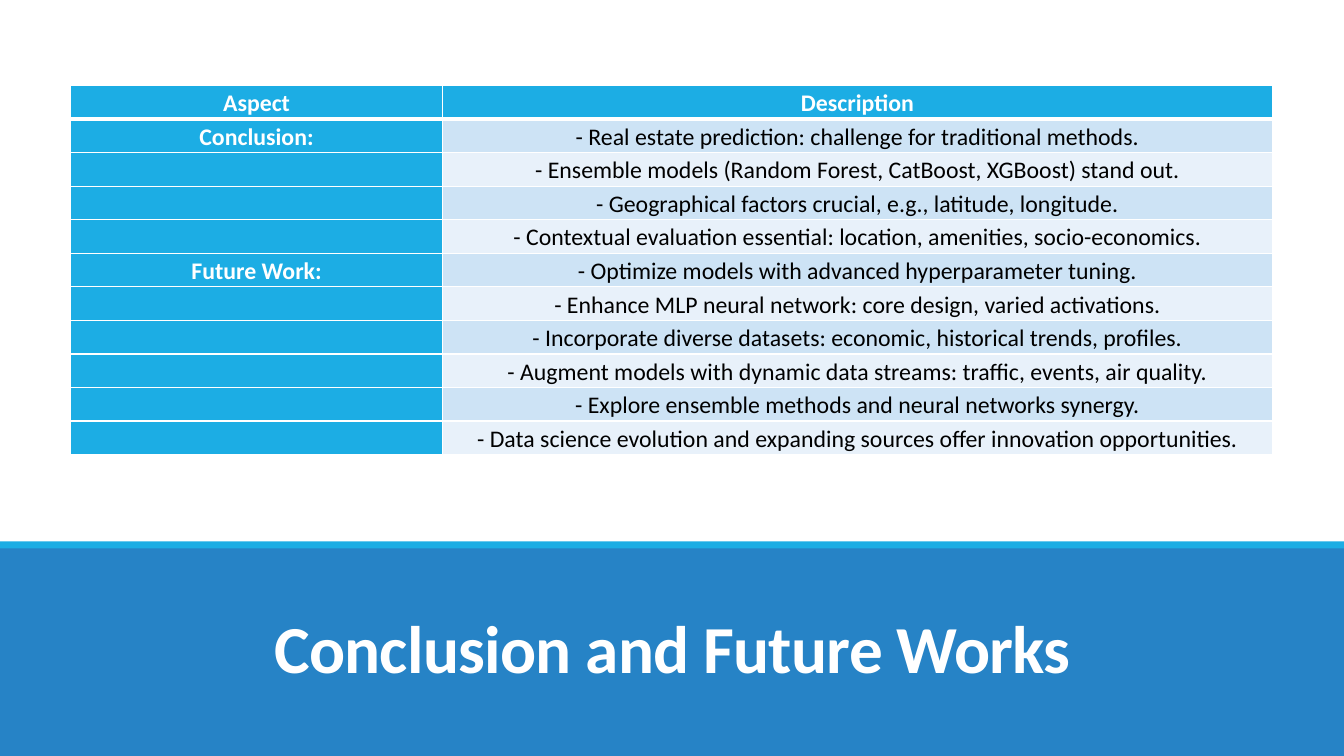
from lxml.etree import SubElement
from pptx import Presentation
from pptx.dml.color import RGBColor
from pptx.enum.shapes import MSO_SHAPE
from pptx.enum.text import MSO_ANCHOR, PP_ALIGN
from pptx.oxml.ns import qn
from pptx.util import Inches, Pt

TITLE = "Conclusion and Future Works"
HEAD = ("Aspect", "Description")
GROUPS = {
    "Conclusion:": [
        "- Real estate prediction: challenge for traditional methods.",
        "- Ensemble models (Random Forest, CatBoost, XGBoost) stand out.",
        "- Geographical factors crucial, e.g., latitude, longitude.",
        "- Contextual evaluation essential: location, amenities, socio-economics.",
    ],
    "Future Work:": [
        "- Optimize models with advanced hyperparameter tuning.",
        "- Enhance MLP neural network: core design, varied activations.",
        "- Incorporate diverse datasets: economic, historical trends, profiles.",
        "- Augment models with dynamic data streams: traffic, events, air quality.",
        "- Explore ensemble methods and neural networks synergy.",
        "- Data science evolution and expanding sources offer innovation opportunities.",
    ],
}
COLORS = {"band": "2683C6", "accent": "1CADE4", "odd": "CDE3F5",
          "even": "E8F1FA", "white": "FFFFFF", "black": "000000"}
FONT = "Calibri"
WIDTH, HEIGHT = 13.33, 7.5
BAND_TOP, STRIPE_TOP, STRIPE = 5.42, 5.37, 0.07
LEFT, TOP = 0.7, 0.85
COLS, ROW = (3.69, 8.23), 0.333
INSET = 0.01


def color(name):
    return RGBColor.from_string(COLORS[name])


def write(frame, text, size=17, ink="white", bold=True, space=None, lines=None):
    para = frame.paragraphs[0]
    para.alignment = PP_ALIGN.CENTER
    para.line_spacing = lines
    para.font.size = Pt(size)
    if not text:
        return
    run = para.add_run()
    run.text = text
    font = run.font
    font.name, font.size, font.bold = FONT, Pt(size), bold
    font.color.rgb = color(ink)
    if space is not None:
        run._r.get_or_add_rPr().set("spc", str(int(space * 100)))


def bar(slide, top, height, fill):
    shape = slide.shapes.add_shape(MSO_SHAPE.RECTANGLE, 0, Inches(top),
                                   Inches(WIDTH), Inches(height))
    shape.shadow.inherit = False
    shape.fill.solid()
    shape.fill.fore_color.rgb = color(fill)
    shape.line.fill.background()


def border(cell, widths):
    """Draw white cell edges; widths run left, right, top, bottom in points."""
    props = cell._tc.get_or_add_tcPr()
    for side, width in zip("LRTB", widths):
        line = SubElement(props, qn(f"a:ln{side}"), w=str(Pt(width)))
        fill = SubElement(line, qn("a:solidFill"))
        SubElement(fill, qn("a:srgbClr"), val=COLORS["white"])


def add_grid(slide):
    rows = [HEAD]
    for aspect, points in GROUPS.items():
        rows += [("" if i else aspect, point) for i, point in enumerate(points)]
    table = slide.shapes.add_table(
        len(rows), len(COLS), Inches(LEFT), Inches(TOP),
        Inches(sum(COLS)), Inches(ROW * len(rows))).table
    for col, width in zip(table.columns, COLS):
        col.width = Inches(width)
    for r, row in enumerate(rows):
        table.rows[r].height = Inches(ROW)
        for c, text in enumerate(row):
            cell = table.cell(r, c)
            label = r == 0 or c == 0
            cell.margin_left = cell.margin_right = Inches(INSET)
            cell.margin_top = cell.margin_bottom = Inches(INSET)
            cell.vertical_anchor = MSO_ANCHOR.BOTTOM
            border(cell, (1, 1, 3 if r == 1 else 1, 3 if r == 0 else 1))
            cell.fill.solid()
            cell.fill.fore_color.rgb = color(
                "accent" if label else "odd" if r % 2 else "even")
            write(cell.text_frame, text, bold=label,
                  ink="white" if label else "black")


def main():
    deck = Presentation()
    deck.slide_width, deck.slide_height = Inches(WIDTH), Inches(HEIGHT)
    slide = deck.slides.add_slide(deck.slide_layouts[6])
    bar(slide, BAND_TOP, HEIGHT - BAND_TOP, "band")
    box = slide.shapes.add_textbox(Inches(1.17), Inches(5.74),
                                   Inches(11), Inches(1.13))
    frame = box.text_frame
    frame.word_wrap = True
    frame.vertical_anchor = MSO_ANCHOR.BOTTOM
    write(frame, TITLE, size=48, space=-0.5, lines=0.85)
    bar(slide, STRIPE_TOP, STRIPE, "accent")
    add_grid(slide)
    deck.save("out.pptx")


if __name__ == "__main__":
    main()
